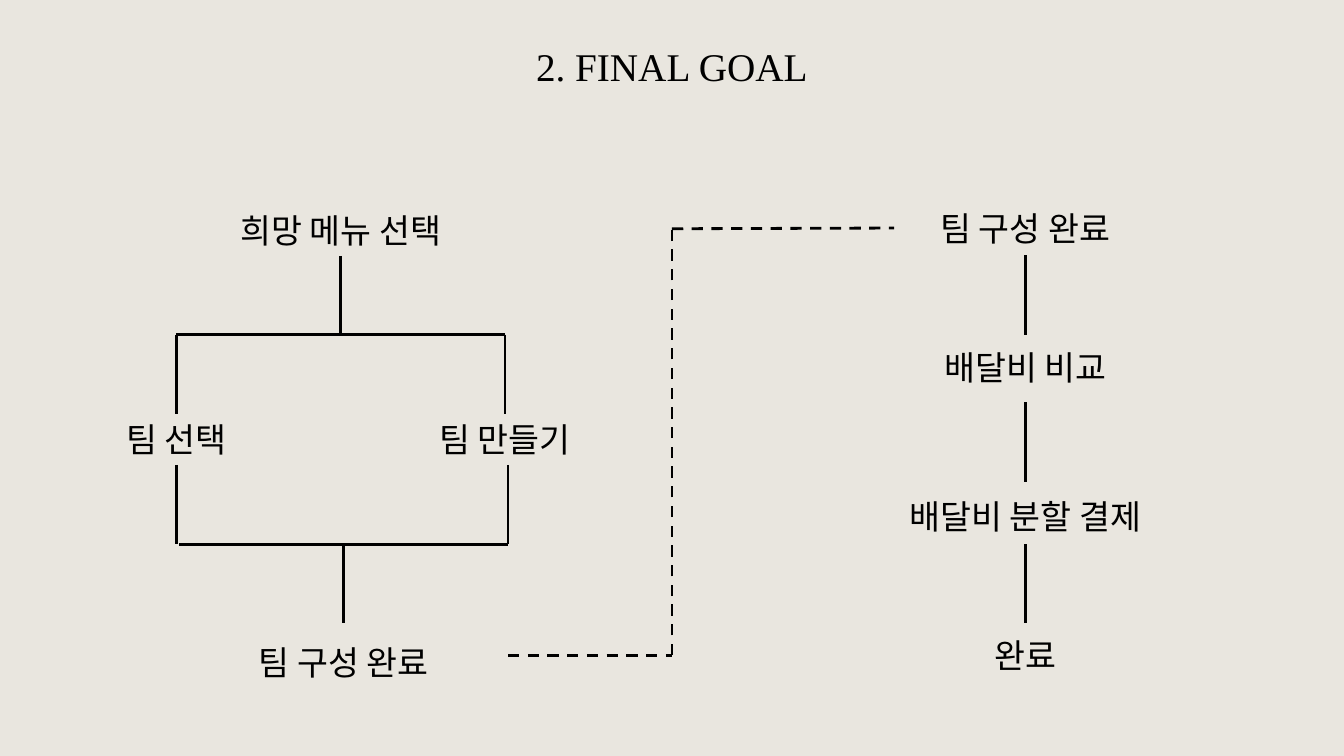
"""Build the FINAL GOAL slide: a team-ordering flow in two linked branches."""
from dataclasses import dataclass

import lxml.etree
import pptx
import pptx.dml.color
import pptx.enum.dml
import pptx.enum.shapes
import pptx.enum.text
import pptx.oxml.ns
import pptx.util

Pt = pptx.util.Pt
qn = pptx.oxml.ns.qn

COLORS = {"paper": "E9E6DF", "ink": "000000"}
HEADING_FONT = "Times New Roman"
STEP_FONT = "Noto Sans CJK KR"
FRAME_FORMAT = {
    "word_wrap": True,
    "auto_size": pptx.enum.text.MSO_AUTO_SIZE.SHAPE_TO_FIT_TEXT,
    "vertical_anchor": pptx.enum.text.MSO_ANCHOR.TOP,
    "margin_left": Pt(7.2),
    "margin_right": Pt(7.2),
    "margin_top": Pt(3.6),
    "margin_bottom": Pt(3.6),
}
STEP_HEIGHT = 36
DROP = 56.5
CHOICE_SPAN = 234.7
LEFT_CHOICE, RIGHT_CHOICE = 126, 360.7
START_X, TEAM_X, ORDER_X = 243.4, 245.5, 732.4
FORK_Y, CHOICE_Y, JOIN_Y = 239, 295.9, 388.8


@dataclass(frozen=True)
class Step:
    """A flow step centred on an axis."""

    wording: str
    axis: float
    top: float
    width: float = 237.6


@dataclass(frozen=True)
class Link:
    """A straight line between two points."""

    x1: float
    y1: float
    x2: float
    y2: float
    dashed: bool = False


def drop(x: float, top: float) -> Link:
    """Return a vertical link of the standard length."""
    return Link(x, top, x, top + DROP)


def crossbar(x: float, y: float) -> Link:
    """Return a horizontal link spanning both choices."""
    return Link(x, y, x + CHOICE_SPAN, y)


STEPS = [
    Step("희망 메뉴 선택", START_X, 146.2),
    Step("팀 선택", LEFT_CHOICE, CHOICE_Y, 183),
    Step("팀 만들기", RIGHT_CHOICE, CHOICE_Y),
    Step("팀 구성 완료", TEAM_X, 455, 270),
    Step("팀 구성 완료", ORDER_X, 144.7, 270),
    Step("배달비 비교", ORDER_X, 244.1),
    Step("배달비 분할 결제", ORDER_X, 350.6),
    Step("완료", ORDER_X, 450),
]
DROPS = [
    (START_X, 182.7),
    (LEFT_CHOICE, FORK_Y),
    (RIGHT_CHOICE, FORK_Y),
    (LEFT_CHOICE, 332),
    (362.9, 332),
    (TEAM_X, JOIN_Y),
    (ORDER_X, 182.5),
    (ORDER_X, 287.5),
    (ORDER_X, JOIN_Y),
]
BRIDGE = [(362.9, 468), (480, 468), (480, 163.4), (638.6, 162.9)]
LINKS = (
    [drop(x, top) for x, top in DROPS]
    + [crossbar(LEFT_CHOICE, FORK_Y), crossbar(128.2, JOIN_Y)]
    + [Link(*start, *end, dashed=True) for start, end in zip(BRIDGE, BRIDGE[1:])]
)


def color(name: str) -> pptx.dml.color.RGBColor:
    """Return a named palette colour."""
    return pptx.dml.color.RGBColor.from_string(COLORS[name])


def write(frame, wording: str, font_name: str, size: float) -> None:
    """Fill a text frame with one centred, formatted line."""
    for attribute, value in FRAME_FORMAT.items():
        setattr(frame, attribute, value)
    line = frame.paragraphs[0]
    line.alignment = pptx.enum.text.PP_ALIGN.CENTER
    run = line.add_run()
    run.text = wording
    for attribute, value in {"name": font_name, "size": Pt(size)}.items():
        setattr(run.font, attribute, value)
    run.font.color.rgb = color("ink")
    east_asian = lxml.etree.SubElement(run.font._element, qn("a:ea"))
    east_asian.set("typeface", font_name)


def draw_heading(slide, wording: str) -> None:
    """Place and format the slide title."""
    heading = slide.shapes.title
    place = {"left": 372.2, "top": 26.6, "width": 215.3, "height": 41}
    for attribute, value in place.items():
        setattr(heading, attribute, Pt(value))
    write(heading.text_frame, wording, HEADING_FONT, 28)


def draw_step(slide, step: Step) -> None:
    """Draw one flow step."""
    left = step.axis - step.width / 2
    label = slide.shapes.add_textbox(
        Pt(left), Pt(step.top), Pt(step.width), Pt(STEP_HEIGHT)
    )
    write(label.text_frame, step.wording, STEP_FONT, 24)


def draw_link(slide, link: Link) -> None:
    """Draw one solid or dashed link."""
    connector = slide.shapes.add_connector(
        pptx.enum.shapes.MSO_CONNECTOR.STRAIGHT,
        Pt(link.x1), Pt(link.y1), Pt(link.x2), Pt(link.y2),
    )
    connector.line.width = Pt(2)
    connector.line.color.rgb = color("ink")
    if link.dashed:
        connector.line.dash_style = pptx.enum.dml.MSO_LINE.DASH
    lxml.etree.SubElement(connector._element.spPr, qn("a:effectLst"))


def main() -> None:
    """Build and save the slide."""
    deck = pptx.Presentation()
    deck.slide_width, deck.slide_height = Pt(960), Pt(540)
    slide = deck.slides.add_slide(deck.slide_layouts[5])
    slide.background.fill.solid()
    slide.background.fill.fore_color.rgb = color("paper")
    draw_heading(slide, "2. FINAL GOAL")
    for link in LINKS:
        draw_link(slide, link)
    for step in STEPS:
        draw_step(slide, step)
    deck.save("out.pptx")


if __name__ == "__main__":
    main()
